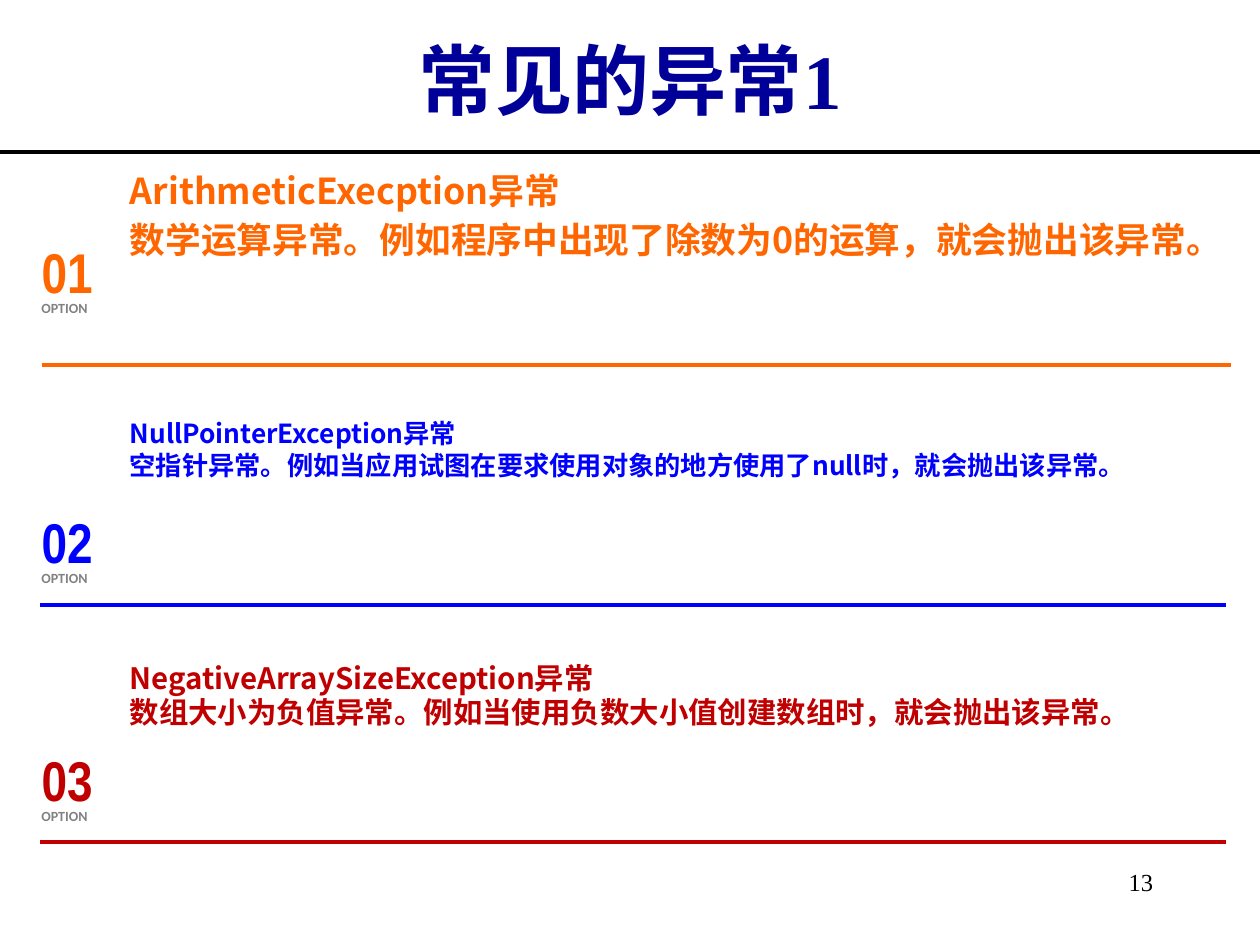
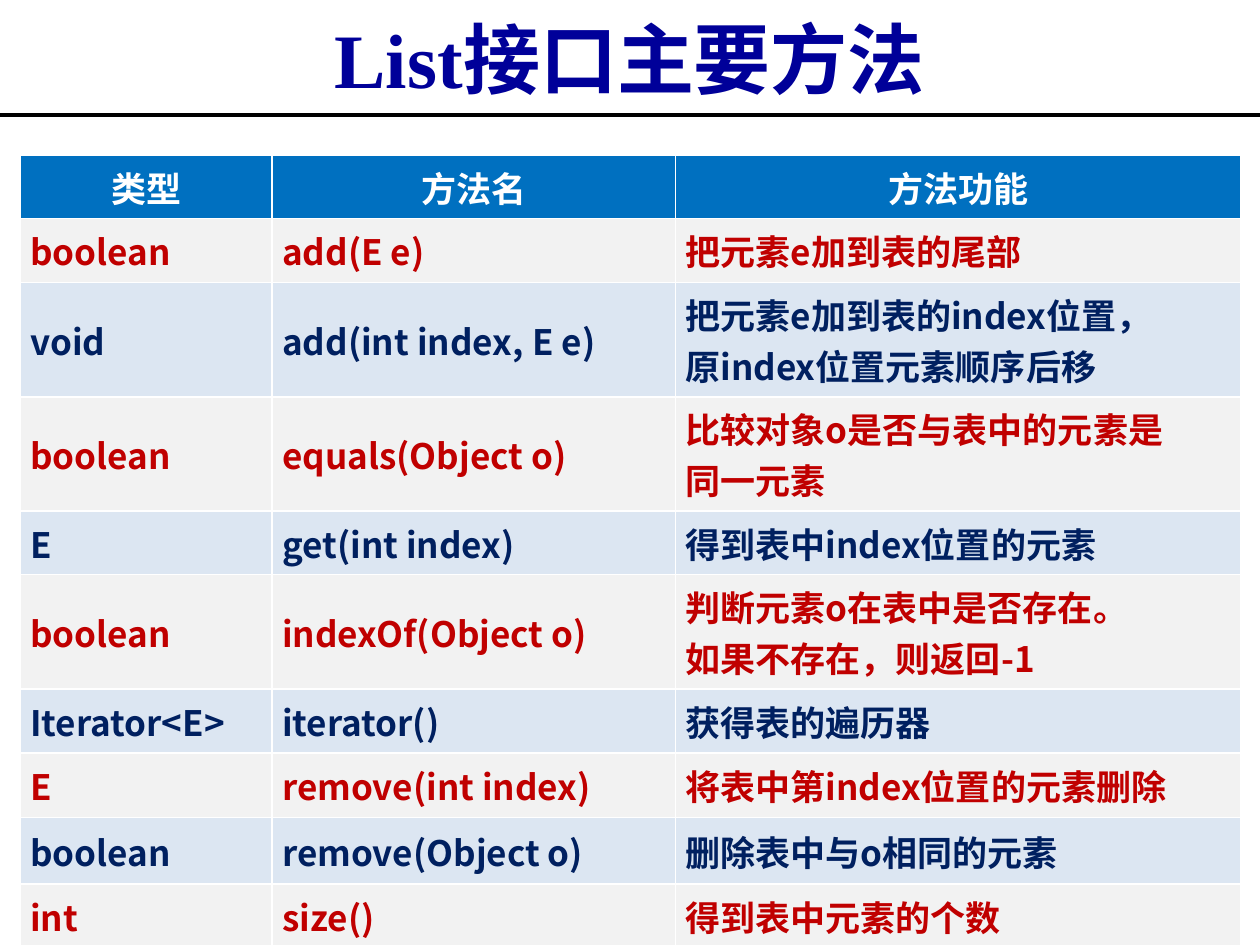
from dataclasses import dataclass

from lxml.etree import SubElement
from pptx import Presentation
from pptx.dml.color import RGBColor
from pptx.enum.shapes import MSO_CONNECTOR
from pptx.enum.text import MSO_ANCHOR, MSO_AUTO_SIZE, PP_ALIGN
from pptx.oxml.ns import qn
from pptx.util import Inches, Pt

WIDTH, HEIGHT = Inches(10), Inches(7.5)
COLUMN, ROW = WIDTH / 10, HEIGHT / 7.5

NAVY_TITLE = RGBColor(0x00, 0x00, 0x99)
BLACK = RGBColor(0x00, 0x00, 0x00)
WHITE = RGBColor(0xFF, 0xFF, 0xFF)
GRAY = RGBColor(0x81, 0x81, 0x81)
ORANGE = RGBColor(0xFF, 0x66, 0x00)
BLUE = RGBColor(0x00, 0x00, 0xFF)
RED = RGBColor(0xC0, 0x00, 0x00)
DARK_BLUE = RGBColor(0x00, 0x20, 0x60)
HEADER_BLUE = RGBColor(0x00, 0x70, 0xC0)
PALE_GRAY = RGBColor(0xF2, 0xF2, 0xF2)
PALE_BLUE = RGBColor(0xDC, 0xE6, 0xF2)

SERIF = "Times New Roman"
NARROW = "Arial Narrow"
LABEL = "Calibri"
CHINESE = "Noto Sans CJK SC"

NO_INSETS = (0, 0)
LABEL_INSETS = (0.1, 0.05)
BODY_INSETS = (0.13, 0.07)


@dataclass
class ExceptionOption:
    number: str
    color: RGBColor
    badge_top: float
    rule: tuple
    area: tuple
    size: float
    line_spacing: float
    lines: str


EXCEPTIONS = [
    ExceptionOption("01", ORANGE, 1.62, (0.33, 9.77, 2.9), (0.9, 1.31, 8.86, 1.11), 20.4, 0.9,
                    "ArithmeticExecption异常\n"
                    "数学运算异常。例如程序中出现了除数为0的运算，就会抛出该异常。"),
    ExceptionOption("02", BLUE, 3.76, (0.32, 9.73, 4.8), (0.9, 3.32, 9.1, 0.96), 15, 0.66,
                    "NullPointerException异常\n"
                    "空指针异常。例如当应用试图在要求使用对象的地方使用了null时，就会抛出该异常。"),
    ExceptionOption("03", RED, 5.65, (0.32, 9.73, 6.68), (0.9, 5.26, 8.86, 0.99), 16.8, 0.65,
                    "NegativeArraySizeException异常\n"
                    "数组大小为负值异常。例如当使用负数大小值创建数组时，就会抛出该异常。"),
]

METHOD_COLUMNS = (2, 3.2, 4.49)
METHOD_HEADER = (0.46, "类型", "方法名", "方法功能")
METHODS = [
    (0.51, "boolean", "add(E e)", "把元素e加到表的尾部"),
    (0.73, "void", "add(int index, E e)", "把元素e加到表的index位置，\n原index位置元素顺序后移"),
    (0.73, "boolean", "equals(Object o)", "比较对象o是否与表中的元素是\n同一元素"),
    (0.37, "E", "get(int index)", "得到表中index位置的元素"),
    (0.73, "boolean", "indexOf(Object o)", "判断元素o在表中是否存在。\n如果不存在，则返回-1"),
    (0.51, "Iterator<E>", "iterator()", "获得表的遍历器"),
    (0.51, "E", "remove(int index)", "将表中第index位置的元素删除"),
    (0.53, "boolean", "remove(Object o)", "删除表中与o相同的元素"),
    (0.36, "int", "size()", "得到表中元素的个数"),
]


def across(columns):
    return round(columns * COLUMN)


def down(rows):
    return round(rows * ROW)


def place(area):
    left, top, width, height = area
    return across(left), down(top), across(width), down(height)


def style_text(frame, font, size, color, bold=True, align=PP_ALIGN.LEFT):
    for paragraph in frame.paragraphs:
        paragraph.alignment = align
        for run in paragraph.runs:
            run.font.name = font
            run.font.size = Pt(size)
            run.font.bold = bold
            run.font.color.rgb = color
            SubElement(run.font._element, qn("a:ea"), typeface=CHINESE)


def add_text(slide, area, text, font, size, color, insets=LABEL_INSETS,
             anchor=MSO_ANCHOR.TOP, wrap=True, **style):
    frame = slide.shapes.add_textbox(*place(area)).text_frame
    frame.word_wrap = wrap
    frame.vertical_anchor = anchor
    frame.margin_left = frame.margin_right = Inches(insets[0])
    frame.margin_top = frame.margin_bottom = Inches(insets[1])
    frame.text = text
    style_text(frame, font, size, color, **style)
    return frame


def add_rule(slide, start, end, top, color):
    rule = slide.shapes.add_connector(MSO_CONNECTOR.STRAIGHT, across(start), down(top),
                                      across(end), down(top))
    rule.line.color.rgb = color
    rule.line.width = Pt(2.25)
    SubElement(rule._element.spPr, qn("a:effectLst"))


def add_titled_slide(deck, heading, title_height, rule_top):
    slide = deck.slides.add_slide(deck.slide_layouts[5])
    title = slide.shapes.title
    title.left, title.top, title.width, title.height = place((0.75, 0, 8.5, title_height))
    frame = title.text_frame
    frame.text = heading
    frame.auto_size = MSO_AUTO_SIZE.NONE
    frame.vertical_anchor = MSO_ANCHOR.MIDDLE
    style_text(frame, SERIF, 44, NAVY_TITLE, align=PP_ALIGN.CENTER)
    add_rule(slide, 0, 10, rule_top, BLACK)
    return slide


def add_exception(slide, option):
    start, end, rule_top = option.rule
    add_rule(slide, start, end, rule_top, option.color)
    add_text(slide, (0.33, option.badge_top, 0.49, 1.07), option.number, NARROW, 32,
             option.color, insets=NO_INSETS, anchor=MSO_ANCHOR.MIDDLE)
    add_text(slide, (0.23, option.badge_top + 0.71, 0.64, 0.24), "OPTION", LABEL, 8, GRAY,
             wrap=False)
    description = add_text(slide, option.area, option.lines, CHINESE, option.size,
                           option.color, insets=BODY_INSETS)
    for index, paragraph in enumerate(description.paragraphs):
        paragraph.line_spacing = option.line_spacing
        paragraph.space_before = Pt(6 if index else 0)


def fill_row(table, index, texts, fill, color, align):
    for cell, text in zip(table.rows[index].cells, texts):
        cell.fill.solid()
        cell.fill.fore_color.rgb = fill
        cell.vertical_anchor = MSO_ANCHOR.MIDDLE
        cell.margin_left = cell.margin_right = Inches(0.08)
        cell.margin_top = cell.margin_bottom = Inches(0.05)
        cell.text_frame.text = text
        style_text(cell.text_frame, CHINESE, 20, color, align=align)


def add_method_table(slide):
    rows = [METHOD_HEADER, *METHODS]
    area = (0.16, 1.23, sum(METHOD_COLUMNS), sum(row[0] for row in rows))
    table = slide.shapes.add_table(len(rows), len(METHOD_COLUMNS), *place(area)).table
    table.first_row = table.horz_banding = False
    for column, width in zip(table.columns, METHOD_COLUMNS):
        column.width = across(width)
    for index, (height, *texts) in enumerate(rows):
        table.rows[index].height = down(height)
        if index == 0:
            fill_row(table, index, texts, HEADER_BLUE, WHITE, PP_ALIGN.CENTER)
        elif index % 2:
            fill_row(table, index, texts, PALE_GRAY, RED, PP_ALIGN.LEFT)
        else:
            fill_row(table, index, texts, PALE_BLUE, DARK_BLUE, PP_ALIGN.LEFT)


def main():
    deck = Presentation()
    deck.slide_width, deck.slide_height = WIDTH, HEIGHT

    exceptions = add_titled_slide(deck, "常见的异常1", 1.25, 1.21)
    add_text(exceptions, (8.17, 6.83, 1.08, 0.5), "13", SERIF, 14, BLACK,
             bold=False, align=PP_ALIGN.RIGHT)
    for option in EXCEPTIONS:
        add_exception(exceptions, option)

    methods = add_titled_slide(deck, "List接口主要方法", 0.91, 0.91)
    add_method_table(methods)

    deck.save("out.pptx")


if __name__ == "__main__":
    main()
